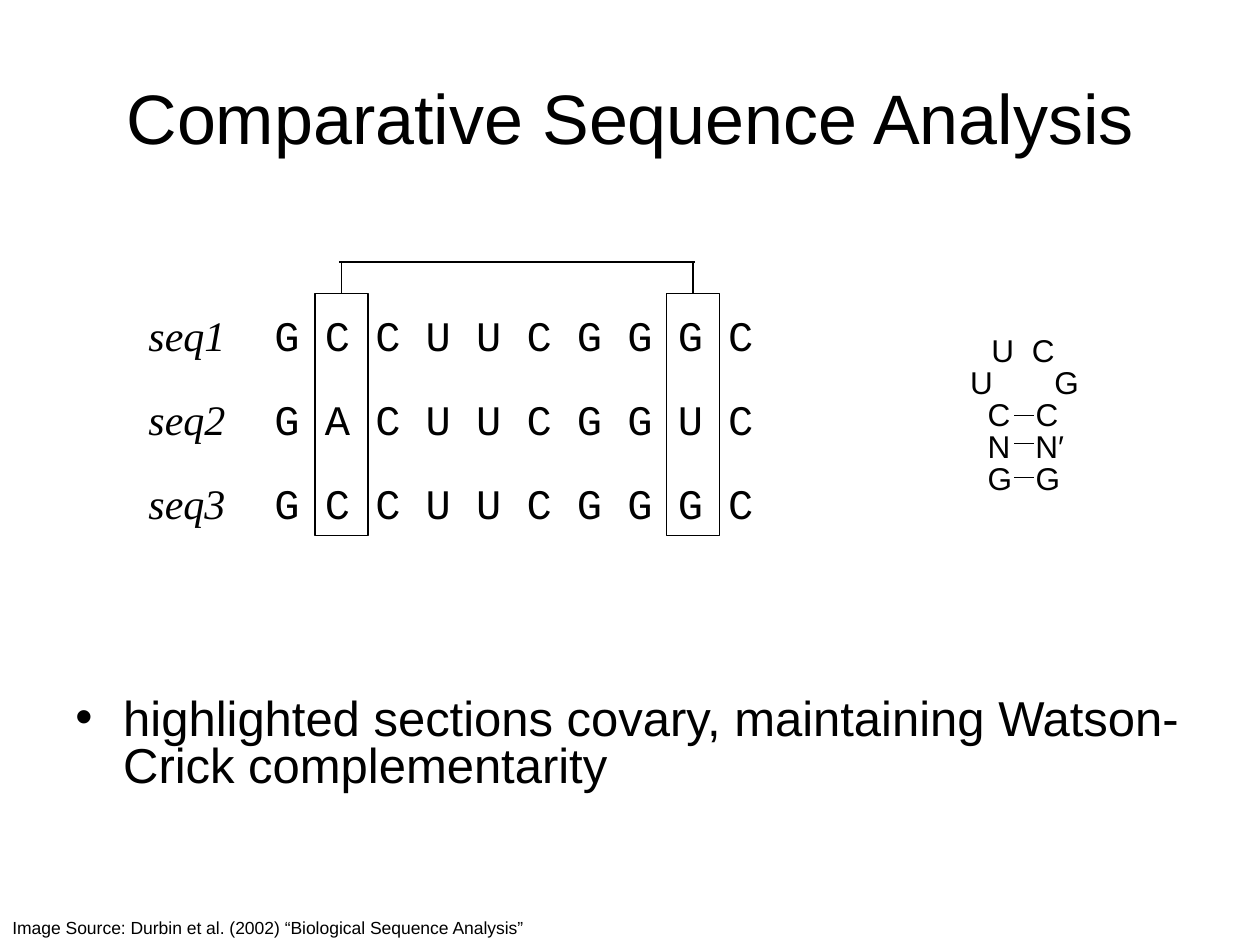
from pptx import Presentation
from pptx.dml.color import RGBColor
from pptx.enum.shapes import MSO_CONNECTOR, MSO_SHAPE
from pptx.enum.text import MSO_ANCHOR, PP_ALIGN
from pptx.oxml.ns import qn
from pptx.util import Inches, Pt
from lxml.etree import SubElement

# Content
TITLE = "Comparative Sequence Analysis"
BULLET = "highlighted sections covary, maintaining Watson-Crick complementarity"
SOURCE = "Image Source: Durbin et al. (2002) “Biological Sequence Analysis”"
SEQUENCES = [
    ("seq1", "GCCUUCGGGC"),
    ("seq2", "GACUUCGGUC"),
    ("seq3", "GCCUUCGGGC"),
]
# Hairpin rows from loop to stem: left base, its x, right base, its x
HAIRPIN = [
    ("U", 7.77, "C", 8.09),
    ("U", 7.6, "G", 8.27),
    ("C", 7.74, "C", 8.12),
    ("N", 7.74, "N′", 8.12),
    ("G", 7.74, "G", 8.12),
]
BOND_HEIGHTS = [3.3, 3.52, 3.79]
BASE_WIDTHS = {"G": 0.39, "N′": 0.43}

# Grid, in inches
BLACK = "000000"
SEQUENCE_LEFT, SEQUENCE_TOP, SEQUENCE_STEP = 1.08, 2.41, 0.665
HAIRPIN_TOP, HAIRPIN_STEP = 2.58, 0.2525
BOX_LEFTS, BOX_TOP, BOX_WIDTH, BOX_HEIGHT = (2.5, 5.29), 2.33, 0.42, 1.92
BRACKET_TOP, BRACKET_OVERHANG = 2.08, 0.02

presentation = Presentation()
presentation.slide_width, presentation.slide_height = Inches(10), Inches(7.5)
slide = presentation.slides.add_slide(presentation.slide_layouts[6])


def color(value):
    return RGBColor.from_string(value)


def add_text(runs, left, top, width, height, size, wrap=True,
             align=PP_ALIGN.LEFT, anchor=MSO_ANCHOR.TOP, bullet=False):
    """Add a text box; runs are (text, font name, italic) tuples."""
    box = slide.shapes.add_textbox(*map(Inches, (left, top, width, height)))
    frame = box.text_frame
    frame.word_wrap = wrap
    frame.vertical_anchor = anchor
    paragraph = frame.paragraphs[0]
    paragraph.alignment = align
    if bullet:
        paragraph.line_spacing = 0.8
        properties = paragraph._p.get_or_add_pPr()
        properties.set("marL", str(Inches(0.38)))
        properties.set("indent", str(Inches(-0.38)))
        SubElement(properties, qn("a:buFont")).set("typeface", "Arial")
        SubElement(properties, qn("a:buChar")).set("char", "•")
    for text, font_name, italic in runs:
        run = paragraph.add_run()
        run.text = text
        run.font.name, run.font.size, run.font.italic = font_name, Pt(size), italic
        run.font.color.rgb = color(BLACK)


def add_line(x1, y1, x2, y2):
    line = slide.shapes.add_connector(
        MSO_CONNECTOR.STRAIGHT, *map(Inches, (x1, y1, x2, y2)))
    line.line.color.rgb = color(BLACK)
    line.line.width = Pt(0.75)
    SubElement(line._element.spPr, qn("a:effectLst"))


# Title and bullet
add_text([(TITLE, "Arial", False)], 0.5, 0.3, 9, 1.25, 40,
         align=PP_ALIGN.CENTER, anchor=MSO_ANCHOR.MIDDLE)
add_text([(BULLET, "Arial", False)], 0.5, 5.5, 9, 0.92, 28, bullet=True)

# Aligned sequences
for row, (name, bases) in enumerate(SEQUENCES):
    add_text([(f"{name}\t", "Times New Roman", True),
              (" ".join(bases), "Courier New", False)],
             SEQUENCE_LEFT, SEQUENCE_TOP + row * SEQUENCE_STEP, 5.08, 0.5, 24)

# Hairpin bases and bonds
for row, (left_base, left_x, right_base, right_x) in enumerate(HAIRPIN):
    for base, x in ((left_base, left_x), (right_base, right_x)):
        add_text([(base, "Arial", False)], x, HAIRPIN_TOP + row * HAIRPIN_STEP,
                 BASE_WIDTHS.get(base, 0.38), 0.4, 18, wrap=False)
for y in BOND_HEIGHTS:
    add_line(8.05, y, 8.21, y)

# Covarying columns joined by a bracket
centers = [left + BOX_WIDTH / 2 for left in BOX_LEFTS]
for left, center in zip(BOX_LEFTS, centers):
    column = slide.shapes.add_shape(
        MSO_SHAPE.RECTANGLE, *map(Inches, (left, BOX_TOP, BOX_WIDTH, BOX_HEIGHT)))
    column.shadow.inherit = False
    column.fill.background()
    column.line.color.rgb = color(BLACK)
    column.line.width = Pt(0.75)
    add_line(center, BOX_TOP, center, BRACKET_TOP)
add_line(centers[0] - BRACKET_OVERHANG, BRACKET_TOP,
         centers[1] + BRACKET_OVERHANG, BRACKET_TOP)

# Source
add_text([(SOURCE, "Arial", False)], 0, 7.23, 4.26, 0.27, 10, wrap=False)

presentation.save("out.pptx")
